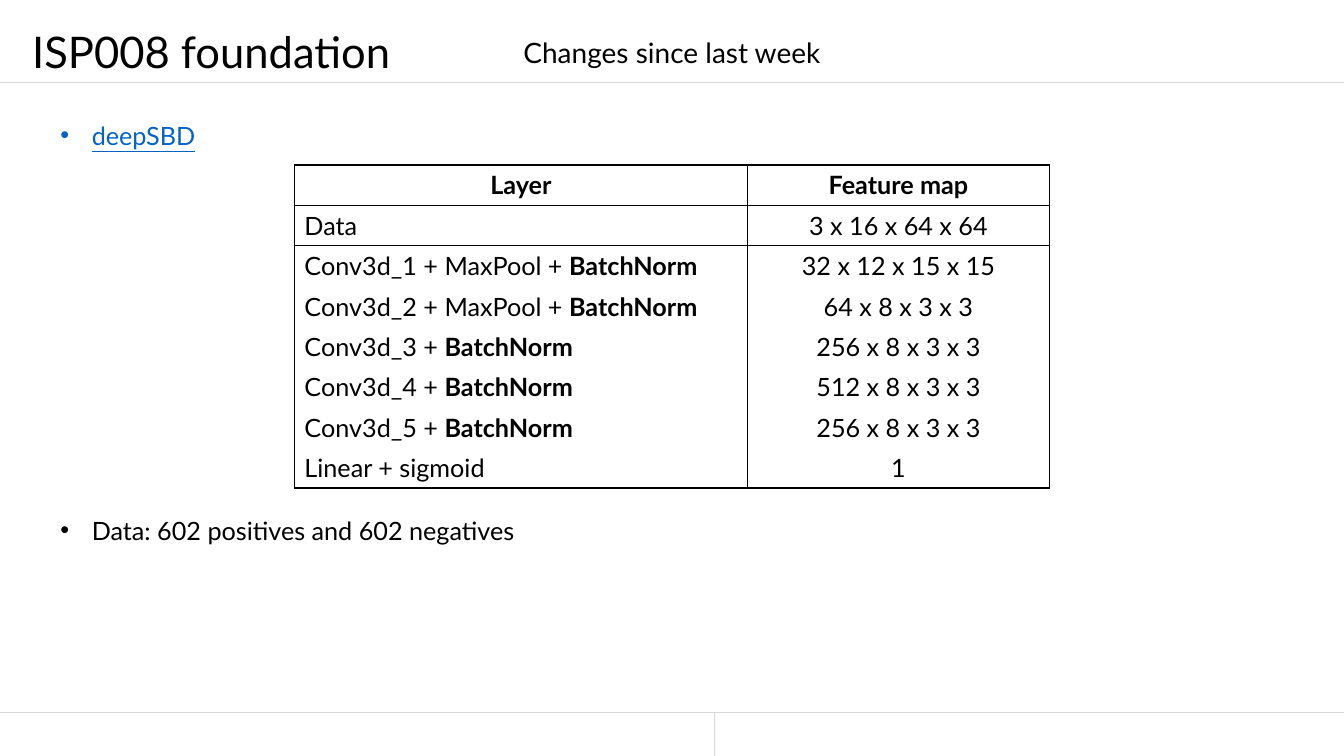
from dataclasses import dataclass

from lxml.etree import SubElement
from pptx import Presentation
from pptx.dml.color import RGBColor
from pptx.enum.shapes import MSO_CONNECTOR
from pptx.enum.text import MSO_ANCHOR, MSO_AUTO_SIZE, PP_ALIGN
from pptx.oxml.ns import qn
from pptx.util import Pt


@dataclass(frozen=True)
class Theme:
    font: str = "Lato"
    text: str = "000000"
    link: str = "0563C1"
    rule: str = "D7D7DA"
    title_size: float = 31.1
    subtitle_size: float = 20
    body_size: float = 18
    rule_width: float = 0.5
    border_width: float = 1


THEME = Theme()
SLIDE_WIDTH, SLIDE_HEIGHT = 960, 540
NO_STYLE_TABLE = "{2D5ABB26-0587-4C30-8999-92F81FD0307C}"

TITLE = "ISP008 foundation"
SUBTITLE = "Changes since last week"
MODEL = "deepSBD"
DATASET = "Data: 602 positives and 602 negatives"
HEADERS = ("Layer", "Feature map")
NORM = "BatchNorm"
# Layer, whether batch normalisation follows it, feature map
LAYERS = [
    ("Data", False, "3 x 16 x 64 x 64"),
    ("Conv3d_1 + MaxPool", True, "32 x 12 x 15 x 15"),
    ("Conv3d_2 + MaxPool", True, "64 x 8 x 3 x 3"),
    ("Conv3d_3", True, "256 x 8 x 3 x 3"),
    ("Conv3d_4", True, "512 x 8 x 3 x 3"),
    ("Conv3d_5", True, "256 x 8 x 3 x 3"),
    ("Linear + sigmoid", False, "1"),
]

TITLE_BOX = (23, 22.3, 914.4, 33.84)
SUBTITLE_BOX = (0, 15.84, SLIDE_WIDTH, 33.84)
MODEL_BOX = (36, 82.1, 484, 28.8)
DATASET_BOX = (36, 364.3, 484, 56.9)
HEADER_RULE, FOOTER_RULE, FOOTER_DIVIDER = 58.5, 509, 510.5
RULES = [
    (0, HEADER_RULE, SLIDE_WIDTH, HEADER_RULE),
    (0, FOOTER_RULE, SLIDE_WIDTH, FOOTER_RULE),
    (FOOTER_DIVIDER, FOOTER_RULE, FOOTER_DIVIDER, SLIDE_HEIGHT),
]
TABLE_LEFT, TABLE_TOP = 210.3, 117.9
COLUMN_WIDTHS = (323.6, 215.8)
ROW_HEIGHT = 28.8
BULLET_INDENT = 22.5


def write_text(frame, *runs, size=THEME.body_size, color=THEME.text,
               align=PP_ALIGN.LEFT, underline=None, line_spacing=None,
               space_before=0, space_after=0):
    """Fill the first paragraph with (text, bold) runs and return it."""
    paragraph = frame.paragraphs[0]
    paragraph.alignment = align
    paragraph.line_spacing = line_spacing
    paragraph.space_before = Pt(space_before)
    paragraph.space_after = Pt(space_after)
    for text, bold in runs:
        run = paragraph.add_run()
        run.text = text
        run.font.name = THEME.font
        run.font.size = Pt(size)
        run.font.bold = bold
        run.font.underline = underline
        run.font.color.rgb = RGBColor.from_string(color)
    return paragraph


def remove_insets(frame):
    frame.margin_left = frame.margin_right = 0
    frame.margin_top = frame.margin_bottom = 0


def add_title(slide):
    title = slide.shapes.title
    title.left, title.top, title.width, title.height = map(Pt, TITLE_BOX)
    frame = title.text_frame
    remove_insets(frame)
    frame.auto_size = MSO_AUTO_SIZE.NONE
    frame.vertical_anchor = MSO_ANCHOR.TOP
    write_text(frame, (TITLE, False), size=THEME.title_size, line_spacing=0.89)


def add_text_box(slide, box):
    frame = slide.shapes.add_textbox(*map(Pt, box)).text_frame
    frame.word_wrap = True
    return frame


def add_subtitle(slide):
    frame = add_text_box(slide, SUBTITLE_BOX)
    remove_insets(frame)
    frame.vertical_anchor = MSO_ANCHOR.BOTTOM
    write_text(frame, (SUBTITLE, False), size=THEME.subtitle_size,
               align=PP_ALIGN.CENTER, line_spacing=Pt(23), space_before=5)


def add_bullet(slide, text, box, **text_format):
    paragraph = write_text(add_text_box(slide, box), (text, False),
                           align=PP_ALIGN.JUSTIFY, space_after=6, **text_format)
    properties = paragraph._p.get_or_add_pPr()
    properties.set("marL", str(Pt(BULLET_INDENT)))
    properties.set("indent", str(-Pt(BULLET_INDENT)))
    SubElement(properties, qn("a:buFont"), typeface="Arial")
    SubElement(properties, qn("a:buChar"), char="•")


def add_rule(slide, ends):
    rule = slide.shapes.add_connector(MSO_CONNECTOR.STRAIGHT, *map(Pt, ends))
    rule.line.color.rgb = RGBColor.from_string(THEME.rule)
    rule.line.width = Pt(THEME.rule_width)
    SubElement(rule._element.spPr, qn("a:effectLst"))


def set_borders(cell, sides):
    """Draw the sides, a string of letters from LRTB in that order."""
    properties = cell._tc.get_or_add_tcPr()
    for side in sides:
        line = SubElement(properties, qn(f"a:ln{side}"),
                          w=str(Pt(THEME.border_width)))
        fill = SubElement(line, qn("a:solidFill"))
        SubElement(fill, qn("a:srgbClr"), val=THEME.text)


def add_layer_table(slide):
    rows = [[[(header, True)] for header in HEADERS]]
    for layer, normalised, feature_map in LAYERS:
        runs = [(f"{layer} + ", False), (NORM, True)] if normalised else [(layer, False)]
        rows.append([runs, [(feature_map, False)]])

    table = slide.shapes.add_table(
        len(rows), len(HEADERS), Pt(TABLE_LEFT), Pt(TABLE_TOP),
        Pt(sum(COLUMN_WIDTHS)), Pt(ROW_HEIGHT * len(rows))).table
    table.first_row = table.horz_banding = False
    table._tbl.tblPr.find(qn("a:tableStyleId")).text = NO_STYLE_TABLE
    for column, width in zip(table.columns, COLUMN_WIDTHS):
        column.width = Pt(width)

    last = len(rows) - 1
    for row_index, row in enumerate(rows):
        table.rows[row_index].height = Pt(ROW_HEIGHT)
        top = "T" if row_index <= 1 else ""
        bottom = "B" if row_index in (0, last) else ""
        for column_index, runs in enumerate(row):
            cell = table.cell(row_index, column_index)
            left_aligned = row_index > 0 and column_index == 0
            write_text(cell.text_frame, *runs,
                       align=PP_ALIGN.LEFT if left_aligned else PP_ALIGN.CENTER)
            set_borders(cell, "LR" + top + bottom)
            cell.fill.background()


def main():
    presentation = Presentation()
    presentation.slide_width = Pt(SLIDE_WIDTH)
    presentation.slide_height = Pt(SLIDE_HEIGHT)
    slide = presentation.slides.add_slide(presentation.slide_layouts[5])
    add_title(slide)
    for ends in RULES:
        add_rule(slide, ends)
    add_subtitle(slide)
    add_bullet(slide, MODEL, MODEL_BOX, color=THEME.link, underline=True)
    add_layer_table(slide)
    add_bullet(slide, DATASET, DATASET_BOX)
    presentation.save("out.pptx")


if __name__ == "__main__":
    main()
